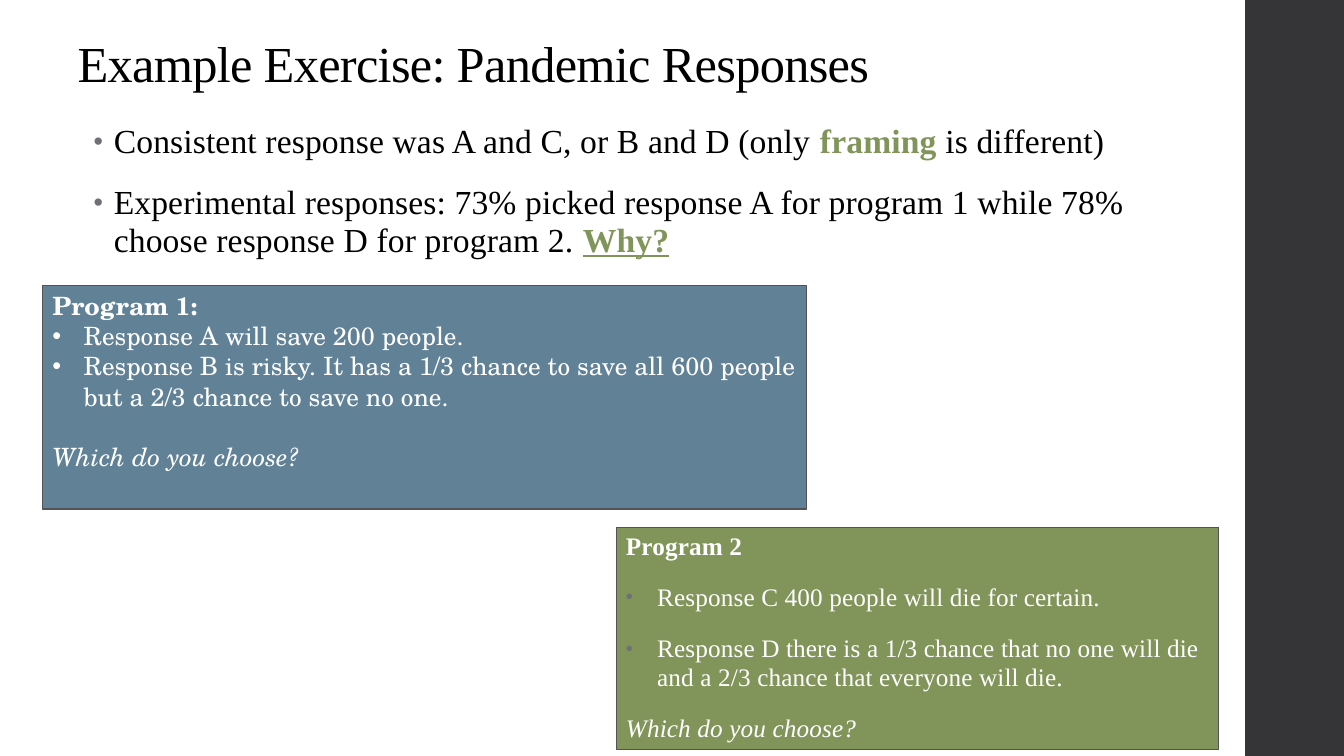
from lxml import etree
from pptx import Presentation
from pptx.dml.color import RGBColor
from pptx.enum.shapes import MSO_SHAPE
from pptx.enum.text import MSO_ANCHOR, MSO_AUTO_SIZE, PP_ALIGN
from pptx.oxml.ns import qn
from pptx.util import Inches, Pt

RECTANGLE = MSO_SHAPE.RECTANGLE
TOP, BOTTOM = MSO_ANCHOR.TOP, MSO_ANCHOR.BOTTOM
LEFT = PP_ALIGN.LEFT
NO_AUTOFIT = MSO_AUTO_SIZE.NONE

TITLE = "Example Exercise: Pandemic Responses"
FINDINGS = [
    ("bullet", [("Consistent response was A and C, or B and D (only ", ""),
                ("framing ", "key"), ("is different)", "")]),
    ("bullet", [("Experimental responses: 73% picked response A for program 1 "
                 "while 78% choose response D for program 2. ", ""),
                ("Why?", "key underline")]),
]
PROGRAM_1 = [
    ("plain", [("Program 1:", "bold")]),
    ("bullet", [("Response A will save 200 people.", "")]),
    ("bullet", [("Response B is risky. It has a 1/3 chance to save all 600 people "
                 "but a 2/3 chance to save no one.", "")]),
    ("question", [("Which do you choose?", "italic")]),
]
PROGRAM_2 = [
    ("plain", [("Program 2", "bold")]),
    ("bullet", [("Response C 400 people will die for certain.", "")]),
    ("bullet", [("Response D there is a 1/3 chance that no one will die "
                 "and a 2/3 chance that everyone will die.", "")]),
    ("question", [("Which do you choose?", "italic")]),
]

THEME = {
    "ink": "000000", "paper": "FFFFFF", "band": "353537", "edge": "535357",
    "blue": "618197", "green": "81955B", "bullet": "6F6F74",
    "serif": "Times New Roman", "school": "TeX Gyre Schola",
    "title": 36, "body": 24, "program": 18,
}
AIRY = {"line": 0.95, "before": 14, "after": 2, "spacing": 10,
        "bullet_color": THEME["bullet"], "bullet_share": 80}

WIDTH, HEIGHT = 13.33, 7.5
BAND_WIDTH = 1
BAND_LEFT = WIDTH - BAND_WIDTH + 0.02
PLACES = {
    "band": (BAND_LEFT, 0, BAND_WIDTH, HEIGHT),
    "title": (0.67, 0.3, 11.42, 0.68),
    "findings": (0.83, 1.17, 11.08, 1.6),
    "program_1": (0.42, 2.83, 7.58, 2.22),
    "program_2": (6.11, 5.23, 5.98, 2.21),
}


def place(name):
    return [Inches(length) for length in PLACES[name]]


def rgb(color):
    return RGBColor.from_string(color)


def add_bullet(properties, indent, color, share):
    properties.set("marL", str(Inches(indent)))
    properties.set("indent", str(-Inches(indent)))
    if color:
        holder = etree.SubElement(properties, qn("a:buClr"))
        etree.SubElement(holder, qn("a:srgbClr"), val=color)
    if share:
        etree.SubElement(properties, qn("a:buSzPct"), val=str(share * 1000))
    etree.SubElement(properties, qn("a:buFont"), typeface="Arial")
    etree.SubElement(properties, qn("a:buChar"), char="•")


def write(frame, paragraphs, *, font, size, color, anchor=TOP, indent=0.31,
          line=1.0, before=0, after=0, question_before=None, spacing=0,
          bullet_color=None, bullet_share=None):
    frame.word_wrap = True
    frame.auto_size = NO_AUTOFIT
    frame.vertical_anchor = anchor
    frame.margin_left = frame.margin_right = Inches(0.1)
    frame.margin_top = frame.margin_bottom = Inches(0.05)
    for index, (role, pieces) in enumerate(paragraphs):
        paragraph = frame.add_paragraph() if index else frame.paragraphs[0]
        paragraph.alignment = LEFT
        paragraph.line_spacing = line
        wide = role == "question" and question_before is not None
        paragraph.space_before = Pt(question_before if wide else before)
        paragraph.space_after = Pt(after)
        if role == "bullet":
            add_bullet(paragraph._p.get_or_add_pPr(), indent, bullet_color, bullet_share)
        for text, style in pieces:
            run = paragraph.add_run()
            run.text = text
            run.font.name = font
            run.font.size = Pt(size)
            run.font.bold = "bold" in style or "key" in style
            run.font.italic = "italic" in style
            run.font.underline = "underline" in style
            run.font.color.rgb = rgb(THEME["green"] if "key" in style else color)
            if spacing:
                run._r.get_or_add_rPr().set("spc", str(spacing))


def add_panel(slide, name, fill, edge=None):
    panel = slide.shapes.add_shape(RECTANGLE, *place(name))
    panel.shadow.inherit = False
    panel.fill.solid()
    panel.fill.fore_color.rgb = rgb(fill)
    if edge:
        panel.line.color.rgb = rgb(edge)
        panel.line.width = Pt(0.75)
    else:
        panel.line.fill.background()
    return panel


def main():
    deck = Presentation()
    deck.slide_width, deck.slide_height = Inches(WIDTH), Inches(HEIGHT)
    slide = deck.slides.add_slide(deck.slide_layouts[5])
    slide.background.fill.solid()
    slide.background.fill.fore_color.rgb = rgb(THEME["paper"])

    add_panel(slide, "band", THEME["band"])

    title = slide.shapes.title
    title.left, title.top, title.width, title.height = place("title")
    write(title.text_frame, [("plain", [(TITLE, "")])], font=THEME["serif"],
          size=THEME["title"], color=THEME["ink"], anchor=BOTTOM, line=0.9, spacing=-50)

    findings = slide.shapes.add_textbox(*place("findings"))
    write(findings.text_frame, FINDINGS, font=THEME["serif"], size=THEME["body"],
          color=THEME["ink"], indent=0.2, **AIRY)

    program_1 = add_panel(slide, "program_1", THEME["blue"], THEME["edge"])
    write(program_1.text_frame, PROGRAM_1, font=THEME["school"], size=THEME["program"],
          color=THEME["paper"], question_before=21.5)

    program_2 = add_panel(slide, "program_2", THEME["green"], THEME["edge"])
    write(program_2.text_frame, PROGRAM_2, font=THEME["serif"], size=THEME["program"],
          color=THEME["paper"], **AIRY)

    deck.save("out.pptx")


if __name__ == "__main__":
    main()
